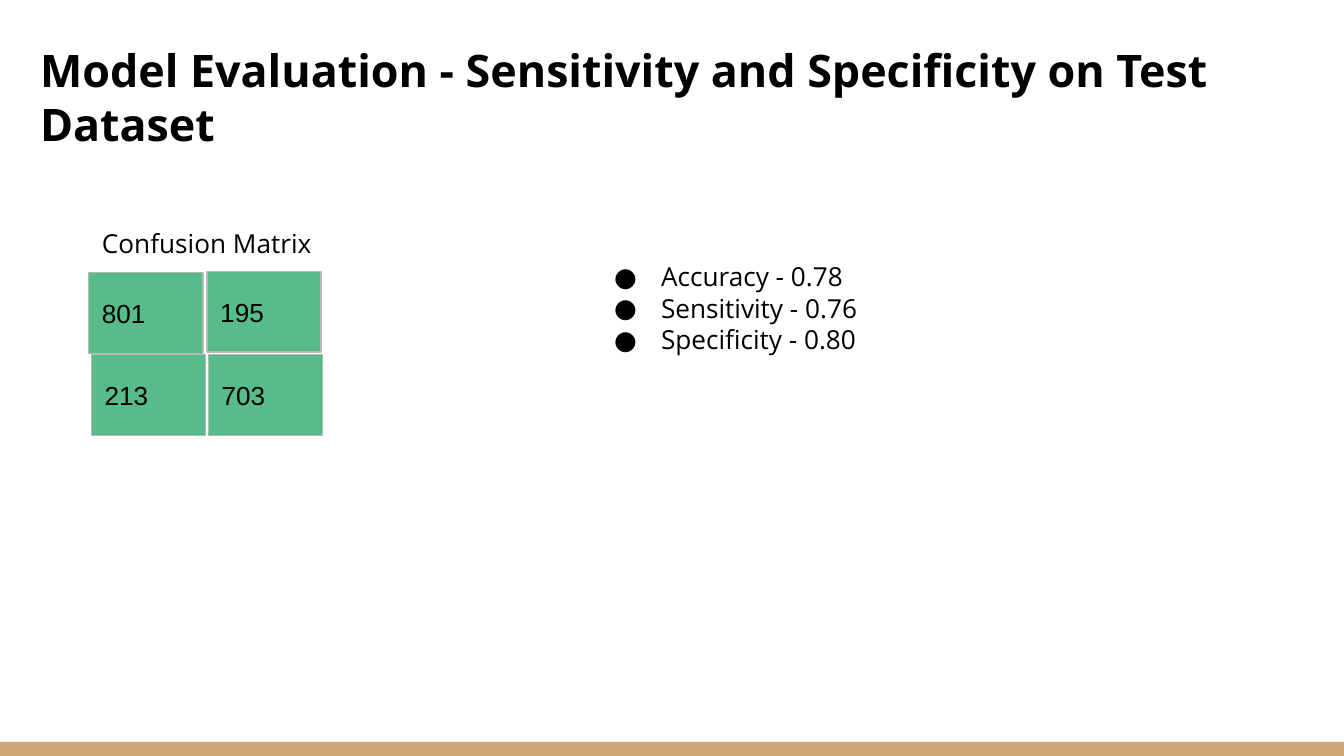
"""Build the model evaluation slide with its confusion matrix and metrics."""
from lxml import etree
from pptx import Presentation
from pptx.dml.color import RGBColor
from pptx.enum.shapes import MSO_SHAPE
from pptx.enum.text import MSO_ANCHOR, MSO_AUTO_SIZE, PP_ALIGN
from pptx.oxml.ns import qn
from pptx.util import Inches, Pt

RECTANGLE = MSO_SHAPE.RECTANGLE
MIDDLE, TOP = MSO_ANCHOR.MIDDLE, MSO_ANCHOR.TOP
GROW = MSO_AUTO_SIZE.SHAPE_TO_FIT_TEXT
LEFT = PP_ALIGN.LEFT

COLORS = {"band": "CCA677", "cell": "57BB8A", "border": "B7B7B7", "text": "000000"}
TEXT_FONT, NUMBER_FONT = "Open Sans", "Arial"
CELL_SIZE = (0.85, 0.6)
MATRIX = [
    ("801", 0.66, 2.03),
    ("703", 1.55, 2.64),
    ("195", 1.54, 2.02),
    ("213", 0.68, 2.64),
]
METRICS = ["Accuracy - 0.78", "Sensitivity - 0.76", "Specificity - 0.80"]


def color(name):
    """Return the named colour."""
    return RGBColor.from_string(COLORS[name])


def write_text(shape, lines, font, size=14, bold=False, anchor=TOP):
    """Fill a shape with left-aligned paragraphs in one style."""
    frame = shape.text_frame
    frame.text = "\n".join(lines)
    frame.word_wrap = True
    frame.vertical_anchor = anchor
    frame.margin_left = frame.margin_right = Inches(0.1)
    frame.margin_top = frame.margin_bottom = Inches(0.1)
    for para in frame.paragraphs:
        para.alignment = LEFT
        for span in para.runs:
            span.font.name = font
            span.font.size = Pt(size)
            span.font.bold = bold
            span.font.color.rgb = color("text")


def add_rectangle(page, area, fill, border=None):
    """Add a flat rectangle, outlined if a border colour is named."""
    box = page.shapes.add_shape(RECTANGLE, *map(Inches, area))
    box.shadow.inherit = False
    box.fill.solid()
    box.fill.fore_color.rgb = color(fill)
    if border:
        box.line.color.rgb = color(border)
        box.line.width = Pt(0.75)
    else:
        box.line.fill.background()
    return box


def add_text(page, area, lines, **style):
    """Add a wrapped text box that grows with its text and return it."""
    box = page.shapes.add_textbox(*map(Inches, area))
    write_text(box, lines, TEXT_FONT, **style)
    box.text_frame.auto_size = GROW
    return box


def add_bullets(box):
    """Give every paragraph in the box a round bullet and hanging indent."""
    for para in box.text_frame.paragraphs:
        properties = para._p.get_or_add_pPr()
        properties.set("marL", str(Inches(0.5)))
        properties.set("indent", str(Inches(-0.35)))
        tint = etree.SubElement(properties, qn("a:buClr"))
        etree.SubElement(tint, qn("a:srgbClr"), val=COLORS["text"])
        etree.SubElement(properties, qn("a:buFont"), typeface=TEXT_FONT)
        etree.SubElement(properties, qn("a:buChar"), char="●")


def main():
    """Build and save the slide."""
    deck = Presentation()
    deck.slide_width = Inches(10)
    deck.slide_height = deck.slide_width * 9 // 16
    page = deck.slides.add_slide(deck.slide_layouts[6])

    add_rectangle(page, (0, 5.52, 10, 0.11), "band")
    for count, left, top in MATRIX:
        cell = add_rectangle(page, (left, top, *CELL_SIZE), "cell", "border")
        write_text(cell, [count], NUMBER_FONT, anchor=MIDDLE)

    title = "Model Evaluation - Sensitivity and Specificity on Test Dataset"
    add_text(page, (0.2, 0.22, 9.53, 1.01), [title], size=24, bold=True)
    add_text(page, (0.66, 1.59, 2.68, 0.44), ["Confusion Matrix"])
    add_bullets(add_text(page, (4.32, 1.84, 4.05, 0.91), METRICS))
    deck.save("out.pptx")


if __name__ == "__main__":
    main()
